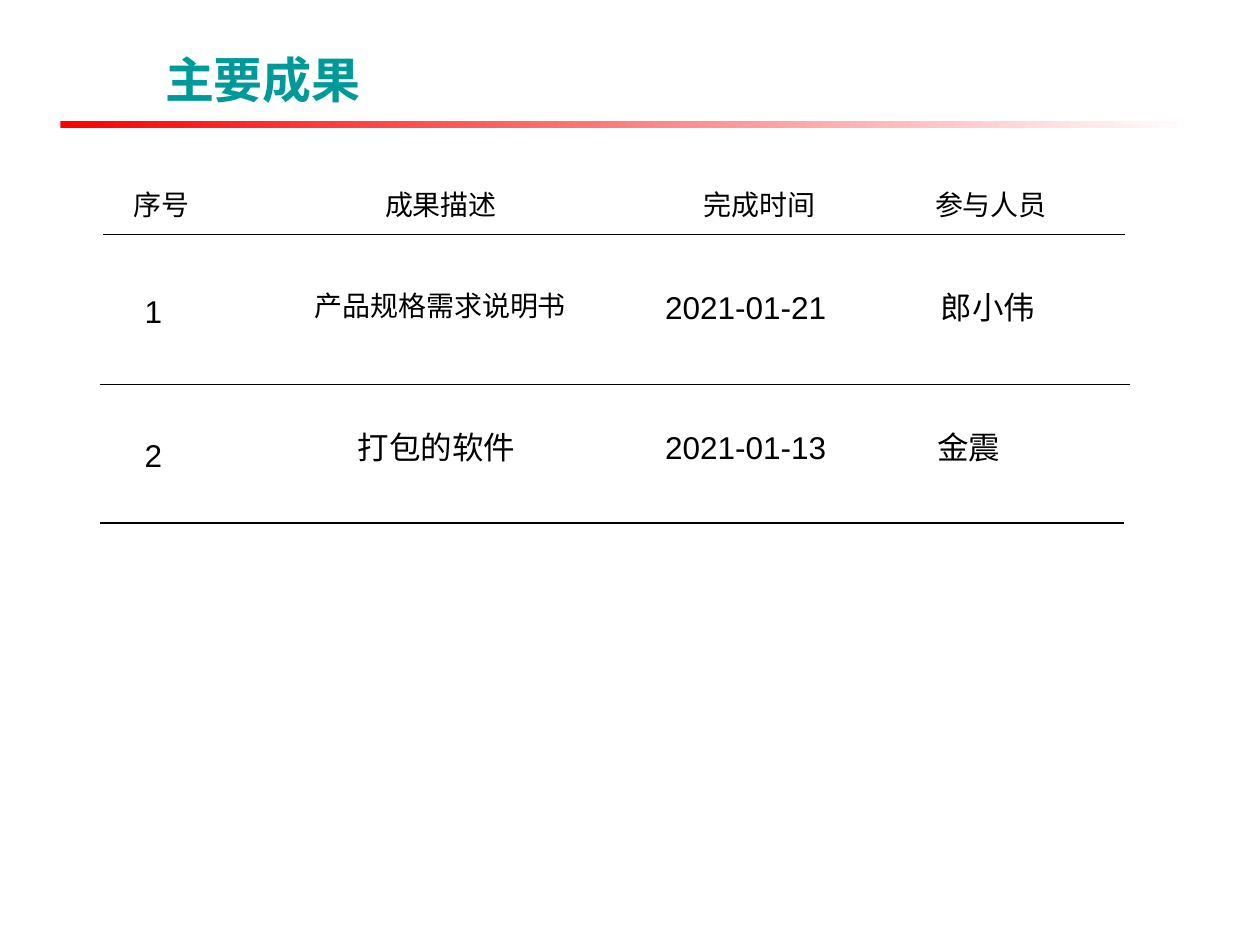
from lxml import etree
from pptx import Presentation
from pptx.dml.color import RGBColor
from pptx.enum.shapes import MSO_CONNECTOR as Line, MSO_SHAPE as Shape
from pptx.enum.text import MSO_ANCHOR as Anchor, MSO_AUTO_SIZE as Fit, PP_ALIGN as Align
from pptx.oxml import parse_xml
from pptx.oxml.ns import nsdecls, qn
from pptx.util import Inches, Pt

CJK = "Noto Sans CJK SC"
BLACK = "000000"


def rgb(code):
    return RGBColor.from_string(code)


def write(frame, text, size=18, font="Arial", color=BLACK, bold=False,
          align=Align.LEFT, anchor=Anchor.TOP):
    frame.word_wrap = True
    frame.vertical_anchor = anchor
    para = frame.paragraphs[0]
    para.alignment = align
    run = para.add_run()
    run.text = text
    run.font.size = Pt(size)
    run.font.name = font
    run.font.bold = bold
    run.font.color.rgb = rgb(color)
    # East Asian typeface
    etree.SubElement(run._r.get_or_add_rPr(), qn("a:ea")).set("typeface", CJK)


prs = Presentation()
prs.slide_width, prs.slide_height = Inches(10), Inches(7.5)
slide = prs.slides.add_slide(prs.slide_layouts[5])
shapes = slide.shapes

# Red bar that fades out under the title
bar = shapes.add_shape(Shape.RECTANGLE, Inches(0.48), Inches(0.96), Inches(9), Inches(0.06))
bar.shadow.inherit = False
bar.line.fill.background()
bar.fill.gradient()
bar.fill.gradient_angle = 0
for stop, code, pos in zip(bar.fill.gradient_stops, ("FF0000", "FFFFFF"), (0, 1)):
    stop.color.rgb = rgb(code)
    stop.position = pos

# Title
title = shapes.title
title.left, title.top = Inches(1.21), Inches(0.28)
title.width, title.height = Inches(8.35), Inches(0.63)
write(title.text_frame, "主要成果", size=28, color="009999", bold=True, anchor=Anchor.BOTTOM)

# Result entries: text, left, top, width, height, format
entries = [
    ("1", 1.05, 2.27, 0.66, 0.4, {}),
    ("产品规格需求说明书", 2.4, 2.24, 2.35, 0.37, {"size": 16, "font": CJK}),
    ("2021-01-21", 5.18, 2.24, 2, 0.4, {}),
    ("郎小伟", 7.37, 2.24, 1.76, 0.4, {}),
    ("2", 1.05, 3.41, 0.66, 0.4, {}),
    ("打包的软件", 2.74, 3.35, 2, 0.4, {"font": CJK}),
    ("2021-01-13", 5.18, 3.35, 2, 0.4, {}),
    ("金震", 7.34, 3.35, 1.79, 0.71, {}),
]
for text, left, top, width, height, style in entries:
    box = shapes.add_textbox(Inches(left), Inches(top), Inches(width), Inches(height))
    write(box.text_frame, text, **style)
    box.text_frame.auto_size = Fit.SHAPE_TO_FIT_TEXT

# Rules below the entries
for y, end in ((3.05, 8.97), (4.15, 8.92)):
    rule = shapes.add_connector(Line.STRAIGHT, Inches(0.79), Inches(y), Inches(end), Inches(y))
    rule.line.color.rgb = rgb(BLACK)
    rule.line.width = Pt(0.75)
    etree.SubElement(rule._element.spPr, qn("a:effectLst"))

# Header table
heads = [("序号", 0.92), ("成果描述", 3.52), ("完成时间", 1.54), ("参与人员", 2.13)]
table = shapes.add_table(1, len(heads), Inches(0.82), Inches(1.37),
                         Inches(8.11), Inches(0.49)).table
table.first_row = table.horz_banding = False
table.rows[0].height = Inches(0.49)
for i, (text, width) in enumerate(heads):
    table.columns[i].width = Inches(width)
    cell = table.cell(0, i)
    write(cell.text_frame, text, size=16, font=CJK, align=Align.CENTER)
    cell.vertical_anchor = Anchor.MIDDLE
    cell.fill.background()
    props = cell._tc.get_or_add_tcPr()
    edges = [(side, 0, "<a:noFill/>") for side in "LRT"]
    edges.append(("B", Pt(1), f'<a:solidFill><a:srgbClr val="{BLACK}"/></a:solidFill>'))
    for n, (side, w, fill) in enumerate(edges):
        props.insert(n, parse_xml(f'<a:ln{side} {nsdecls("a")} w="{w}">{fill}</a:ln{side}>'))

prs.save("out.pptx")
